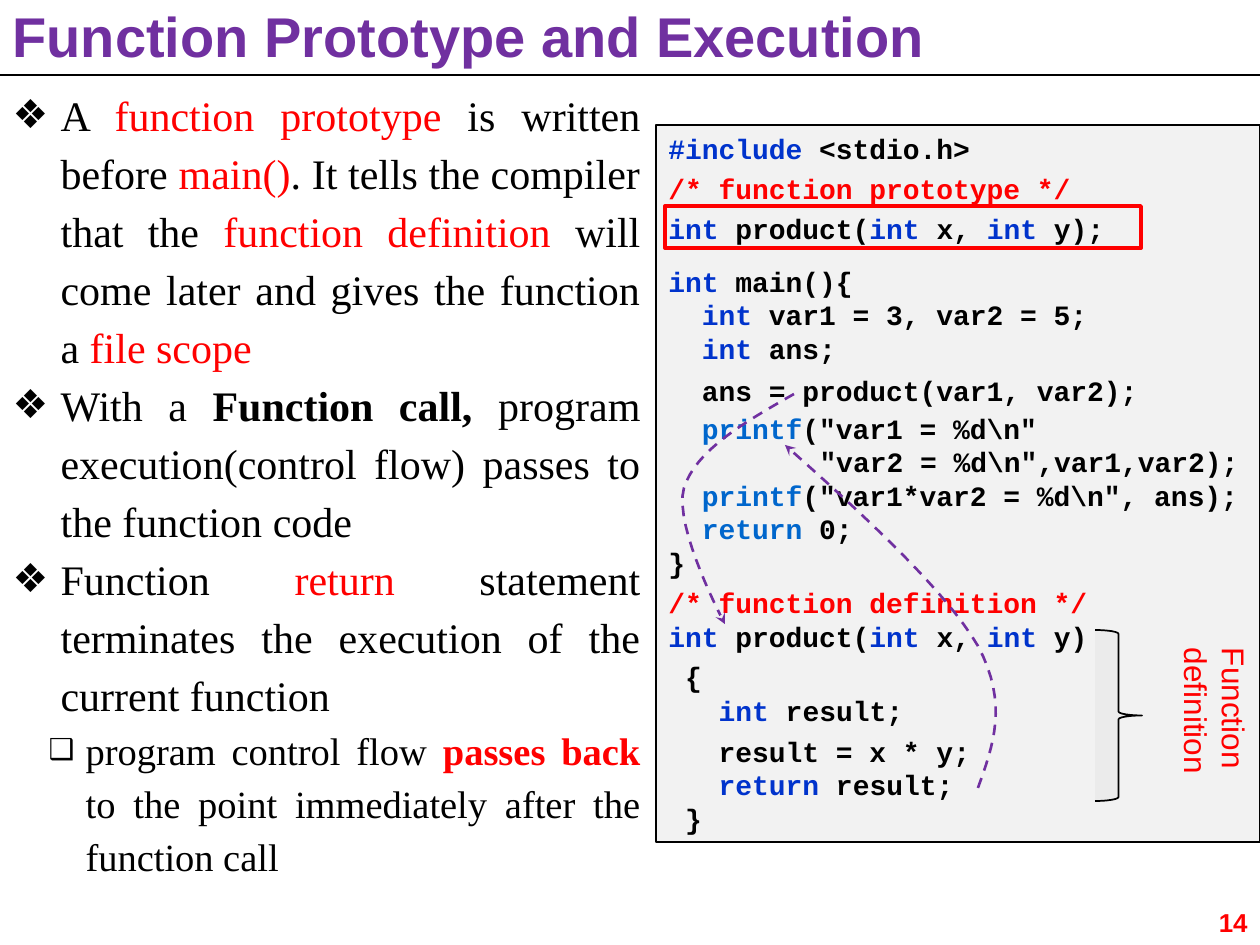
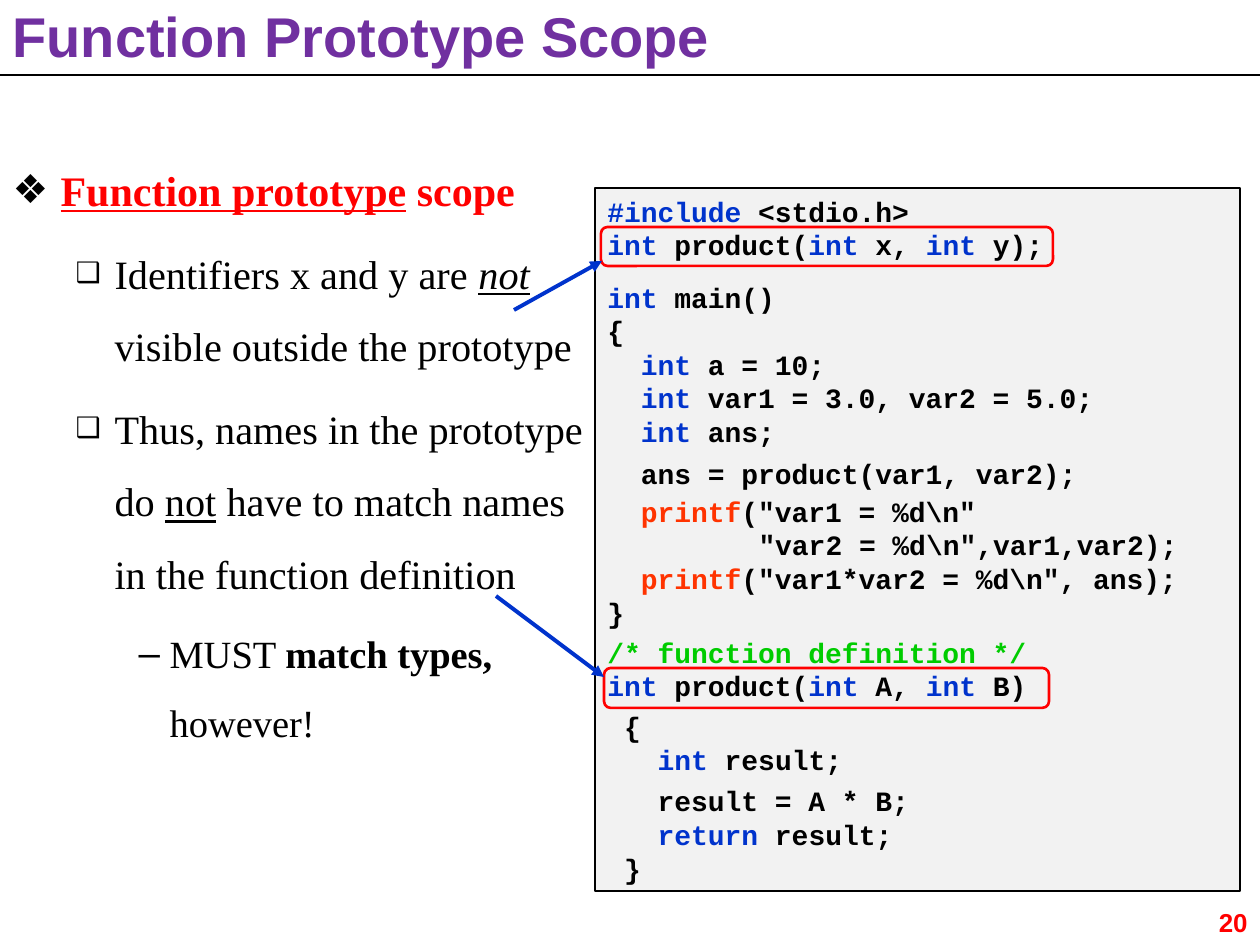
from lxml import etree
from pptx import Presentation
from pptx.dml.color import RGBColor
from pptx.enum.dml import MSO_LINE
from pptx.enum.shapes import MSO_CONNECTOR, MSO_SHAPE
from pptx.enum.text import MSO_ANCHOR as Anchor, MSO_AUTO_SIZE as AutoSize, PP_ALIGN as Align
from pptx.oxml.ns import qn
from pptx.util import Pt

EMU_PER_PX = 914400 / 126
WIDTH, HEIGHT = 1260, 945
BLACK, RED, PURPLE = "000000", "FF0000", "7030A0"
BLUE, SKY, ORANGE, GREEN = "0033CC", "0066CC", "FF3300", "00CC00"
PANEL, BRACE_FILL = "F2F2F2", "EBEBEB"
SANS, SERIF, MONO = "Arial", "Times New Roman", "Courier New"
CODE_SIZE, CODE_PITCH, CODE_CHARACTER = 16, 19.2, 9.6
SMALL_GAP, MEDIUM_GAP, LARGE_GAP, BLOCK_GAP = 3.84, 4.32, 4.8, 10.8
INT = ("int", BLUE)


def px(*lengths):
    return [round(length * EMU_PER_PX) for length in lengths]


def rgb(color):
    return RGBColor.from_string(color)


def add_xml(parent, tag, **attributes):
    return etree.SubElement(parent, qn(tag), attributes)


def add_runs(paragraph, runs, font, size, base_style=""):
    for item in runs:
        text, color, style = (((item,) if isinstance(item, str) else item) + (BLACK, ""))[:3] \
            if isinstance(item, str) or len(item) < 3 else item
        style += base_style
        run = paragraph.add_run()
        run.text = text
        run.font.name = font
        run.font.size = Pt(size)
        run.font.color.rgb = rgb(color)
        run.font.bold = "b" in style
        run.font.italic = "i" in style
        run.font.underline = "u" in style


def prepare_frame(shape, anchor=Anchor.TOP):
    frame = shape.text_frame
    frame.word_wrap = True
    frame.auto_size = AutoSize.NONE
    frame.vertical_anchor = anchor
    return frame


def paragraphs_for(frame, items):
    for index, item in enumerate(items):
        yield (frame.add_paragraph() if index else frame.paragraphs[0]), item


def place(shape, box):
    shape.left, shape.top, shape.width, shape.height = px(*box)


def add_label(slide, box, lines, size, style="", align=Align.LEFT, rotation=0):
    label = slide.shapes.add_textbox(*px(*box))
    label.rotation = rotation
    for paragraph, text in paragraphs_for(prepare_frame(label), lines):
        paragraph.alignment = align
        add_runs(paragraph, [(text, RED)], SANS, size, style)


def add_figure(slide, kind, box, line_color, line_width, fill=None):
    shape = slide.shapes.add_shape(kind, *px(*box))
    shape.shadow.inherit = False
    if fill:
        shape.fill.solid()
        shape.fill.fore_color.rgb = rgb(fill)
    else:
        shape.fill.background()
    shape.line.color.rgb = rgb(line_color)
    shape.line.width = Pt(line_width)
    return shape


def add_arrowhead(line, kind):
    add_xml(line._get_or_add_ln(), "a:tailEnd", type=kind)


def add_line(slide, start, end, color, width, head=None):
    connector = slide.shapes.add_connector(MSO_CONNECTOR.STRAIGHT, *px(*start, *end))
    connector.line.color.rgb = rgb(color)
    connector.line.width = Pt(width)
    if head:
        add_arrowhead(connector.line, head)
    add_xml(connector._element.spPr, "a:effectLst")


def bezier_points(start, first, second, end, steps=16):
    for step in range(1, steps + 1):
        t = step / steps
        weights = ((1 - t) ** 3, 3 * t * (1 - t) ** 2, 3 * t * t * (1 - t), t ** 3)
        yield tuple(sum(weight * point[axis] for weight, point in zip(weights, (start, first, second, end)))
                    for axis in (0, 1))


def add_flow_curve(slide, start, *segments):
    points, current = [], start
    for segment in segments:
        points += bezier_points(current, *segment)
        current = segment[-1]
    builder = slide.shapes.build_freeform(*px(*start), scale=1.0)
    builder.add_line_segments([px(*point) for point in points], close=False)
    curve = builder.convert_to_shape()
    curve.shadow.inherit = False
    curve.fill.background()
    curve.line.color.rgb = rgb(PURPLE)
    curve.line.width = Pt(1.5)
    curve.line.dash_style = MSO_LINE.DASH
    add_arrowhead(curve.line, "stealth")


def add_base_slide(presentation, title, number):
    slide = presentation.slides.add_slide(presentation.slide_layouts[1])
    add_line(slide, (0, 75), (WIDTH, 75), BLACK, 1.5)
    place(slide.shapes.title, (0, 0, WIDTH, 75))
    paragraph = prepare_frame(slide.shapes.title, Anchor.BOTTOM).paragraphs[0]
    paragraph.alignment = Align.LEFT
    add_runs(paragraph, [(title, PURPLE)], SANS, 32, "b")
    add_label(slide, (1186, 900, 74, 45), [str(number)], 14.8, "b", Align.RIGHT)
    return slide


def add_bullets(slide, box, items, align=Align.LEFT):
    body = slide.placeholders[1]
    place(body, box)
    for paragraph, (kind, size, pitch, before, runs) in paragraphs_for(prepare_frame(body), items):
        level, character, percent, margin, hanging = kind
        paragraph.level = level
        paragraph.alignment = align
        paragraph.line_spacing = Pt(pitch)
        paragraph.space_before = Pt(before)
        properties = paragraph._p.get_or_add_pPr()
        left, indent = px(margin, -hanging)
        properties.set("marL", str(left))
        properties.set("indent", str(indent))
        add_xml(add_xml(properties, "a:buClr"), "a:srgbClr", val=BLACK)
        add_xml(properties, "a:buSzPct", val=str(percent * 1000))
        add_xml(properties, "a:buFont", typeface=SANS)
        add_xml(properties, "a:buChar", char=character)
        add_runs(paragraph, runs, SERIF, size)


def add_code(slide, box, lines):
    panel = add_figure(slide, MSO_SHAPE.RECTANGLE, box, BLACK, 0.75, PANEL)
    for paragraph, (indent, before, *runs) in paragraphs_for(prepare_frame(panel), lines):
        paragraph.alignment = Align.LEFT
        paragraph.line_spacing = Pt(CODE_PITCH)
        paragraph.space_before = Pt(before)
        properties = paragraph._p.get_or_add_pPr()
        properties.set("marL", str(Pt(indent * CODE_CHARACTER)))
        properties.set("indent", "0")
        add_runs(paragraph, runs, MONO, CODE_SIZE, "b")


def include_line():
    return (0, 0, ("#include ", BLUE), "<stdio.h>")


def signature(before, first, second, ending):
    return (0, before, INT, " product(", INT, f" {first}, ", INT, f" {second}{ending}")


def call_lines(printf_color):
    printf = ("printf", printf_color)
    return [
        (2, 0, INT, " ans;"),
        (2, LARGE_GAP, "ans = product(var1, var2);"),
        (2, 2.4, printf, '("var1 = %d\\n"'),
        (9, 0, '"var2 = %d\\n",var1,var2);'),
        (2, 0, printf, '("var1*var2 = %d\\n", ans);'),
    ]


def definition_lines(first, second, comment_color):
    return [
        (0, 0, "}"),
        (0, SMALL_GAP, ("/* function definition */", comment_color)),
        signature(0, first, second, ")"),
        (1, SMALL_GAP, "{"),
        (3, 0, INT, " result;"),
        (3, MEDIUM_GAP, f"result = {first} * {second};"),
        (3, 0, ("return", BLUE), " result;"),
        (1, 0, "}"),
    ]


def build_execution_slide(presentation):
    slide = add_base_slide(presentation, "Function Prototype and Execution", 14)
    diamond = (0, "❖", 95, 48, 48)
    square = (2, "❑", 75, 73, 37)
    add_bullets(slide, (0, 76, 653, 814), [
        (diamond, 24, 33.12, 0, [
            "A ", ("function prototype ", RED), "is written before ", ("main()", RED),
            ". It tells the compiler that the ", ("function definition", RED),
            " will come later and gives the function a ", ("file scope", RED)]),
        (diamond, 24, 33.12, 0, [
            "With a ", ("Function call, ", BLACK, "b"),
            "program execution(control flow) passes to the function code"]),
        (diamond, 24, 33.12, 0, [
            "Function ", ("return", RED), " statement terminates the execution of the current function"]),
        (square, 22, 30.36, 0, [
            "program control flow ", ("passes back ", RED, "b"),
            "to the point immediately after the function call"]),
    ], Align.JUSTIFY)
    add_code(slide, (656, 125, 604, 717), [
        include_line(),
        (0, SMALL_GAP, ("/* function prototype */", RED)),
        signature(SMALL_GAP, "x", "y", ");"),
        (0, BLOCK_GAP, INT, " main(){"),
        (2, 0, INT, " var1 = 3, var2 = 5;"),
        *call_lines(SKY),
        (2, 0, ("return ", SKY), "0;"),
        *definition_lines("x", "y", RED),
    ])
    add_figure(slide, MSO_SHAPE.RECTANGLE, (665, 206, 476, 42), RED, 2.25)
    add_figure(slide, MSO_SHAPE.RIGHT_BRACE, (1095, 630, 47, 171), BLACK, 1, BRACE_FILL)
    add_label(slide, (1129, 678, 173, 88), ["Function", "definition"], 18, rotation=90)
    add_flow_curve(slide, (794, 394),
                   ((745, 422), (696, 450), (684, 488)),
                   ((673, 527), (725, 624), (725, 624)))
    add_flow_curve(slide, (978, 788),
                   ((993, 746), (1009, 704), (978, 646)),
                   ((945, 590), (866, 517), (785, 445)))


def build_scope_slide(presentation):
    slide = add_base_slide(presentation, "Function Prototype Scope", 20)
    diamond = (0, "❖", 95, 48, 48)
    square = (1, "❑", 70, 102, 39)
    dash = (2, "–", 100, 157, 31)
    add_bullets(slide, (0, 163, 599, 742), [
        (diamond, 24, 25.92, 0, [("Function prototype", RED, "bu"), (" ", RED), ("scope", RED, "b")]),
        (square, 23, 41.4, 5.8, [
            "Identifiers x and y are ", ("not", BLACK, "iu"), " visible outside the prototype"]),
        (square, 23, 41.4, 5.8, [
            "Thus, names in the prototype do ", ("not", BLACK, "u"),
            " have to match names in the function definition"]),
        (dash, 22, 39.6, 5.5, ["MUST ", ("match types, ", BLACK, "b"), "however!"]),
    ])
    add_code(slide, (595, 188, 645, 703), [
        include_line(),
        signature(0, "x", "y", ");"),
        (0, BLOCK_GAP, INT, " main()"),
        (0, 0, "{"),
        (2, 0, INT, " a = 10;"),
        (2, 0, INT, " var1 = 3.0, var2 = 5.0;"),
        *call_lines(ORANGE),
        *definition_lines("A", "B", GREEN),
    ])
    for start, end, box in (
        ((514, 310), (602, 261), (601, 227, 452, 39)),
        ((496, 596), (604, 677), (604, 668, 445, 40)),
    ):
        add_figure(slide, MSO_SHAPE.ROUNDED_RECTANGLE, box, RED, 1.5)
        add_line(slide, start, end, BLUE, 2.25, "triangle")


def main():
    presentation = Presentation()
    presentation.slide_width, presentation.slide_height = px(WIDTH, HEIGHT)
    build_execution_slide(presentation)
    build_scope_slide(presentation)
    presentation.save("out.pptx")


if __name__ == "__main__":
    main()
